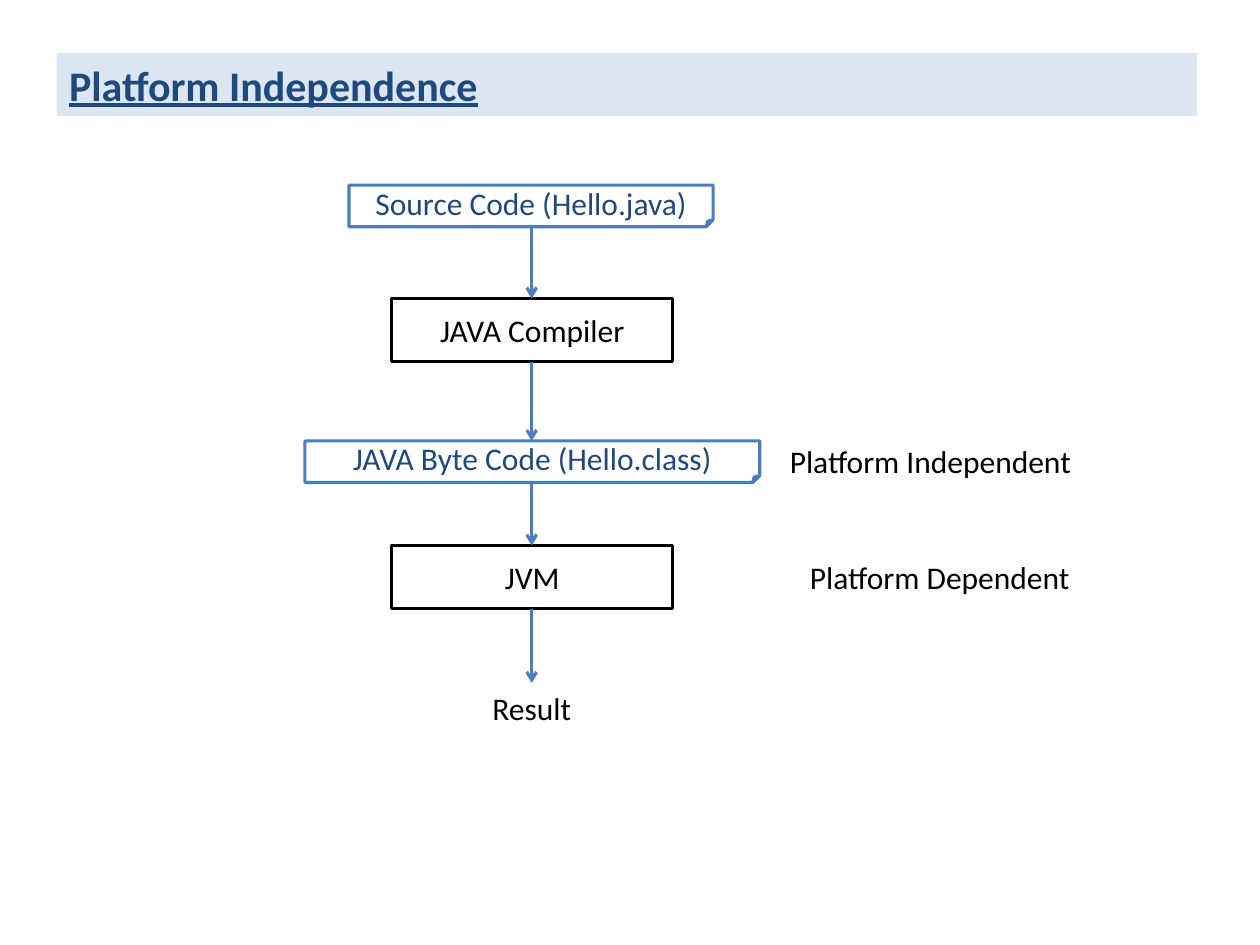
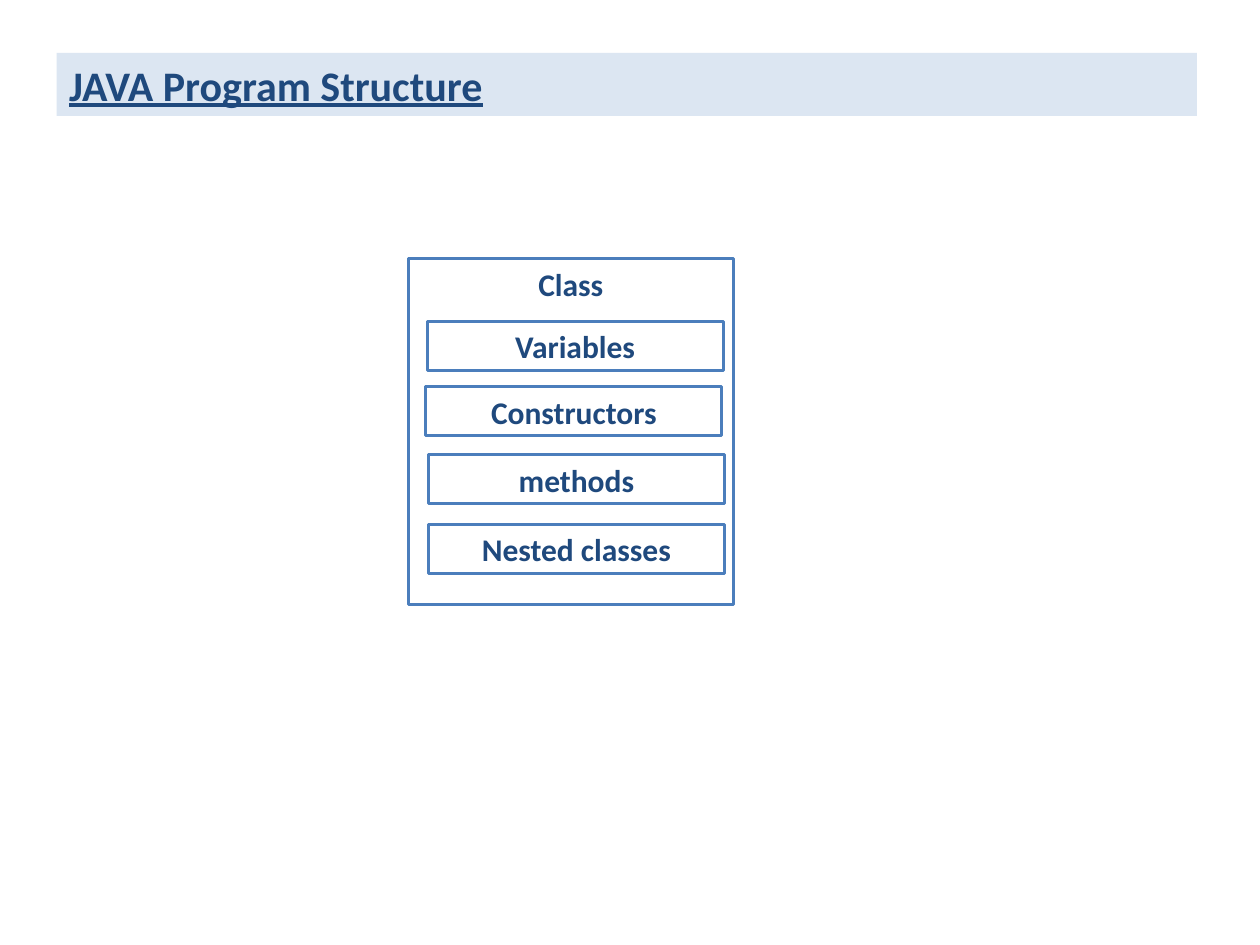
from dataclasses import dataclass
from itertools import pairwise

from lxml.etree import SubElement
from pptx import Presentation
from pptx.dml.color import RGBColor
from pptx.enum.shapes import MSO_CONNECTOR, MSO_SHAPE
from pptx.enum.text import MSO_ANCHOR, MSO_AUTO_SIZE, PP_ALIGN
from pptx.oxml.ns import qn
from pptx.util import Emu, Pt

EMU_PER_PX = 9144  # 100 px to the inch


@dataclass(frozen=True)
class Theme:
    font: str = "Calibri"
    title_size: int = 24
    body_size: int = 18
    line_width: float = 1.75
    navy: RGBColor = RGBColor(0x1F, 0x49, 0x7D)
    blue: RGBColor = RGBColor(0x4B, 0x7E, 0xBC)
    pale_blue: RGBColor = RGBColor(0xDC, 0xE6, 0xF2)
    black: RGBColor = RGBColor(0, 0, 0)


THEME = Theme()


def px(*lengths):
    return [Emu(length * EMU_PER_PX) for length in lengths]


def write(shape, text, color, size=THEME.body_size, bold=False, underline=False,
          align=PP_ALIGN.LEFT, anchor=MSO_ANCHOR.TOP, wrap=True):
    frame = shape.text_frame
    frame.word_wrap = wrap
    frame.vertical_anchor = anchor
    paragraph = frame.paragraphs[0]
    paragraph.alignment = align
    run = paragraph.add_run()
    run.text = text
    font = run.font
    font.name, font.size, font.bold, font.underline = THEME.font, Pt(size), bold, underline
    font.color.rgb = color


def add_title_slide(presentation, title):
    """Add a blank slide with the shared title band."""
    slide = presentation.slides.add_slide(presentation.slide_layouts[6])
    band = slide.shapes.add_shape(MSO_SHAPE.RECTANGLE, *px(45, 42, 905, 50))
    band.shadow.inherit = False
    band.fill.solid()
    band.fill.fore_color.rgb = THEME.pale_blue
    band.line.fill.background()
    write(band, title, THEME.navy, THEME.title_size, bold=True, underline=True)
    band.text_frame.auto_size = MSO_AUTO_SIZE.SHAPE_TO_FIT_TEXT
    return slide


def add_box(slide, text, bounds, line_color=THEME.blue, text_color=THEME.navy,
            kind=MSO_SHAPE.RECTANGLE, bold=False, anchor=MSO_ANCHOR.MIDDLE):
    box = slide.shapes.add_shape(kind, *px(*bounds))
    box.shadow.inherit = False
    box.fill.background()
    box.line.color.rgb = line_color
    box.line.width = Pt(THEME.line_width)
    write(box, text, text_color, bold=bold, align=PP_ALIGN.CENTER, anchor=anchor)


def add_label(slide, text, bounds, wrap=True):
    label = slide.shapes.add_textbox(*px(*bounds))
    write(label, text, THEME.black, wrap=wrap)
    label.text_frame.auto_size = MSO_AUTO_SIZE.SHAPE_TO_FIT_TEXT


def add_down_arrow(slide, x, top, bottom):
    arrow = slide.shapes.add_connector(MSO_CONNECTOR.STRAIGHT, *px(x, top, x, bottom))
    arrow.line.color.rgb = THEME.blue
    arrow.line.width = Pt(THEME.line_width)
    SubElement(arrow.line._get_or_add_ln(), qn("a:tailEnd"), type="arrow")
    SubElement(arrow._element.spPr, qn("a:effectLst"))


def build_platform_independence(presentation):
    slide = add_title_slide(presentation, "Platform Independence")
    file_style = dict(kind=MSO_SHAPE.FOLDED_CORNER)
    tool_style = dict(line_color=THEME.black, text_color=THEME.black)
    stages = [
        ("Source Code (Hello.java)", (277, 147, 289, 33), file_style),
        ("JAVA Compiler", (311, 237, 223, 50), tool_style),
        ("JAVA Byte Code (Hello.class)", (242, 350, 361, 33), file_style),
        ("JVM", (311, 433, 223, 50), tool_style),
    ]
    for text, bounds, style in stages:
        add_box(slide, text, bounds, **style)

    result_bounds = (381, 542, 83, 40)
    add_label(slide, "Result", result_bounds, wrap=False)
    add_label(slide, "Platform Independent", (617, 346, 250, 40))
    add_label(slide, "Platform Dependent", (633, 438, 250, 40))

    flow = [bounds for _, bounds, _ in stages] + [result_bounds]
    for (_, top, _, height), (_, next_top, _, _) in pairwise(flow):
        add_down_arrow(slide, 422, top + height, next_top)


def build_program_structure(presentation):
    slide = add_title_slide(presentation, "JAVA Program Structure")
    add_box(slide, "Class", (324, 205, 258, 275), bold=True, anchor=MSO_ANCHOR.TOP)
    members = [
        ("Variables", 339, 255),
        ("Constructors", 338, 307),
        ("methods", 340, 361),
        ("Nested classes", 340, 416),
    ]
    for text, left, top in members:
        add_box(slide, text, (left, top, 235, 39), bold=True)


def main():
    presentation = Presentation()
    presentation.slide_width, presentation.slide_height = px(1000, 750)
    build_platform_independence(presentation)
    build_program_structure(presentation)
    presentation.save("out.pptx")


if __name__ == "__main__":
    main()
